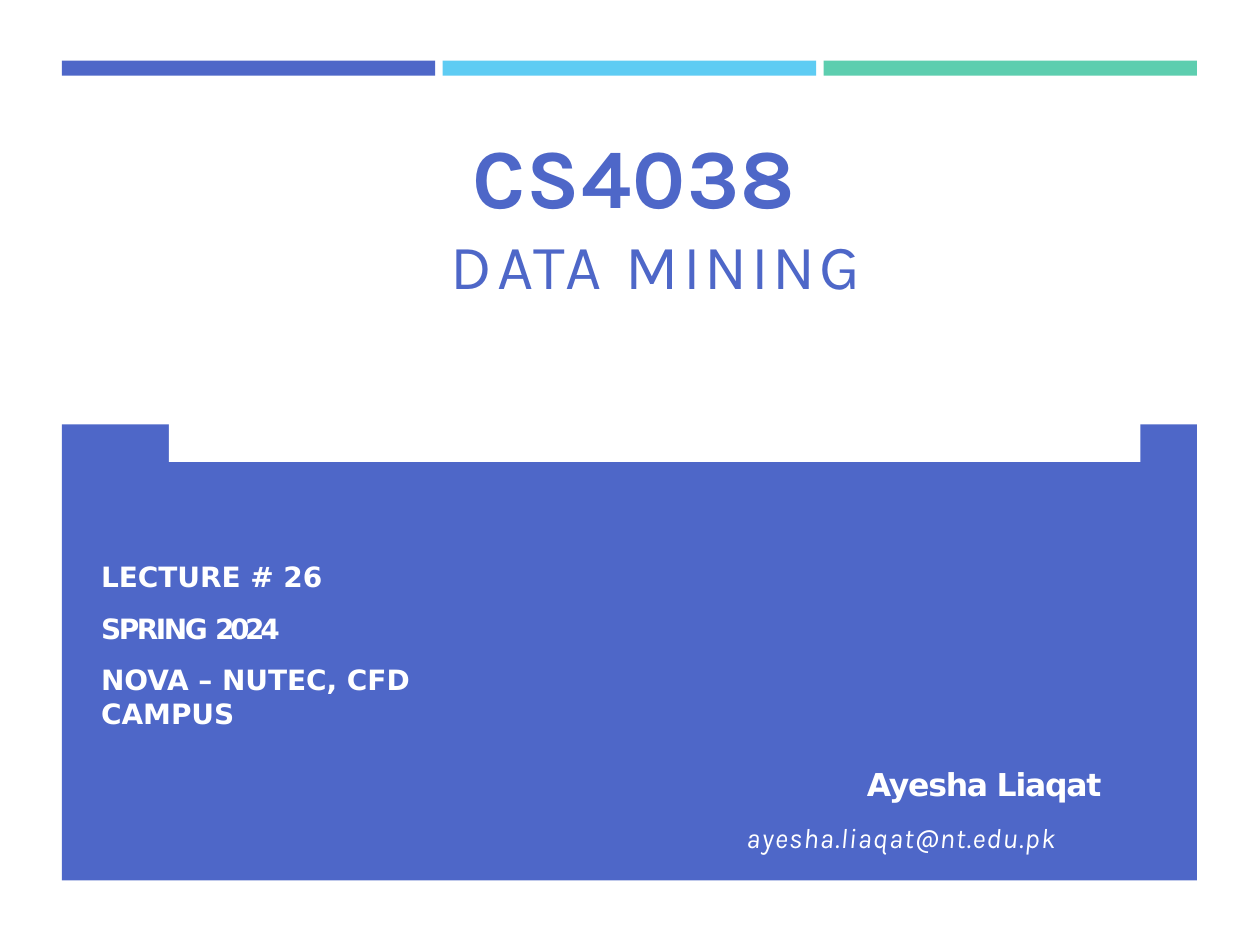
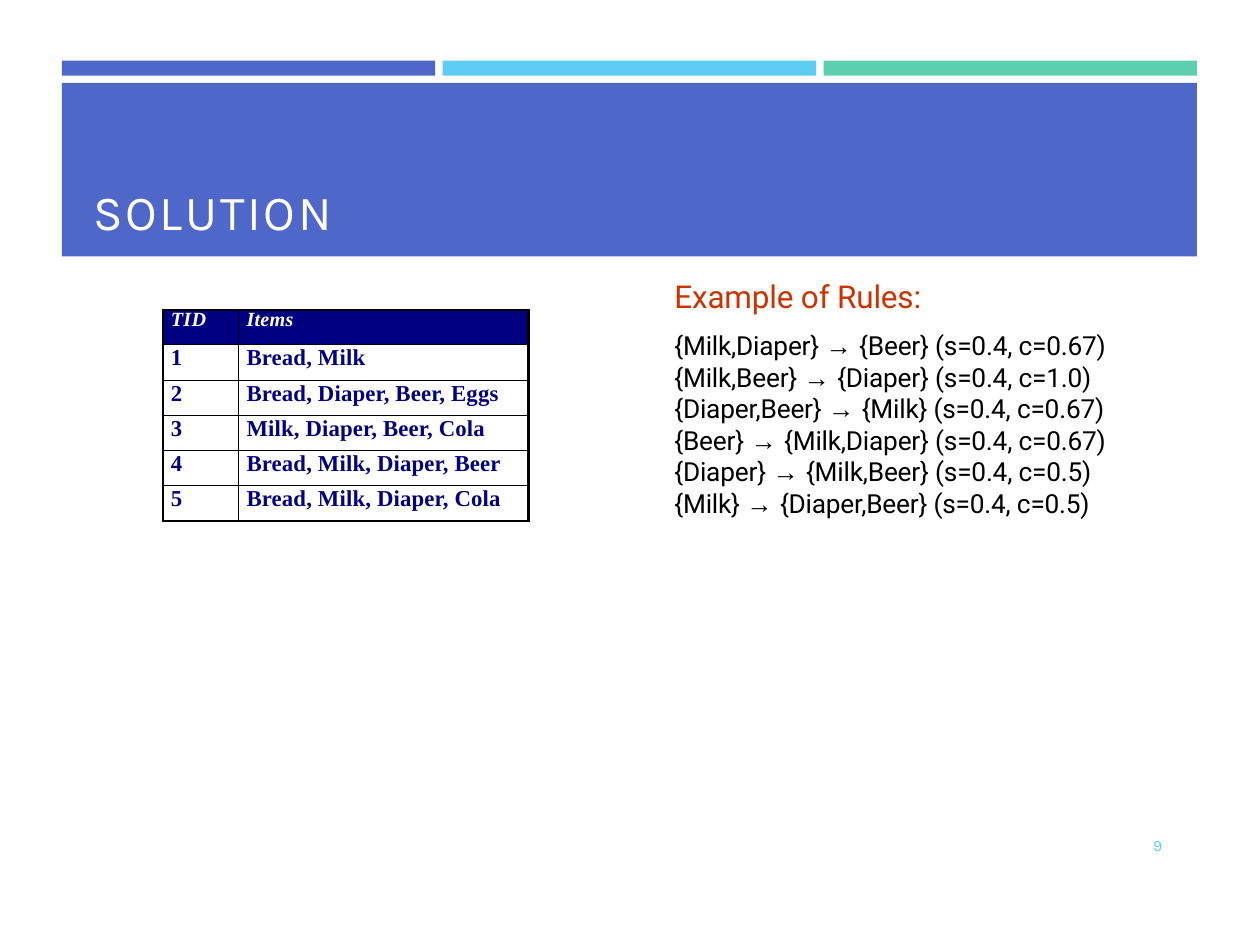
from lxml.etree import SubElement
from pptx import Presentation
from pptx.dml.color import RGBColor
from pptx.enum.shapes import MSO_SHAPE
from pptx.enum.text import MSO_ANCHOR, PP_ALIGN
from pptx.oxml.ns import qn
from pptx.util import Pt

BLUE, SKY, GREEN = "4E67C8", "5ECCF3", "5DCEAF"
WHITE, BLACK, NAVY, RED = "FFFFFF", "000000", "000080", "CC3300"

FRAME_LEFT, FRAME_WIDTH = 35.3, 648.7
BAND_TOP, BAND_HEIGHT, BAND_GAP = 34.6, 8.6, 4.3
BAND_COLOURS = [BLUE, SKY, GREEN]

COVER_BLOCK = (FRAME_LEFT, 242.6, FRAME_WIDTH, 260.5)
COVER_NOTCH = (96.5, 127.4, 555.2, 136.6)
TITLE_BLOCK = (FRAME_LEFT, 47.4, FRAME_WIDTH, 99.1)

CODE = dict(name="Karla", size=48, bold=True, colour=BLUE, spacing=0.8)
COURSE = dict(name="Karla", size=36, colour=BLUE)
DETAIL = dict(name="DejaVu Sans", size=16, bold=True, colour=WHITE)
TEACHER = DETAIL | dict(size=18, spacing=-0.7)
EMAIL = dict(name="Karla", size=16, italic=True, colour=WHITE, spacing=0.7)
TITLE = dict(name="Karla", size=28, colour=WHITE, spacing=1.6)
PAGE = dict(name="Karla", size=9, colour=SKY, spacing=-0.2)
RULES_HEADING = dict(name="Roboto", size=18, colour=RED, spacing=-0.1)
RULE = dict(name="Roboto", size=15, colour=BLACK, spacing=-0.1)
ARROW = RULE | dict(name="Arial", spacing=0)
HEADER_CELL = dict(name="Times New Roman", size=11.5, bold=True, italic=True,
                   colour=WHITE, spacing=0.15)
BODY_CELL = dict(name="Times New Roman", size=13, bold=True, colour=NAVY, spacing=0.1)

COURSE_CODE = "CS4038"
COURSE_NAME = [("D", 2.9), ("A", -0.9), ("T", -2.8), ("A ", 2.8),
               ("M", 2.5), ("ININ", 2), ("G", 2.3)]
LECTURE = [
    ({}, [("LECTURE # 26", DETAIL)]),
    ({"space_before": Pt(10.8)}, [("SPRING ", DETAIL | dict(spacing=-1.4)),
                                  ("2024", DETAIL | dict(spacing=-2.5))]),
    ({"space_before": Pt(9.8)}, [("NOVA – NUTEC, CFD CAMPUS", DETAIL)]),
]
CONTACT = [
    ({"alignment": PP_ALIGN.CENTER, "indent": 35.3}, [("Ayesha Liaqat", TEACHER)]),
    ({"space_before": Pt(10.4)}, [("ayesha.liaqat@nt.edu.pk", EMAIL)]),
]
SOLUTION_TITLE = "SOLUTION"
PAGE_NUMBER = "9"
RULES_TITLE = "Example of Rules:"
RULES = [
    ("{Milk,Diaper}", "{Beer}", "0.4", "0.67"),
    ("{Milk,Beer}", "{Diaper}", "0.4", "1.0"),
    ("{Diaper,Beer}", "{Milk}", "0.4", "0.67"),
    ("{Beer}", "{Milk,Diaper}", "0.4", "0.67"),
    ("{Diaper}", "{Milk,Beer}", "0.4", "0.5"),
    ("{Milk}", "{Diaper,Beer}", "0.4", "0.5"),
]
TRANSACTIONS = [
    ("TID", "Items"),
    ("1", "Bread, Milk"),
    ("2", "Bread, Diaper, Beer, Eggs"),
    ("3", "Milk, Diaper, Beer, Cola"),
    ("4", "Bread, Milk, Diaper, Beer"),
    ("5", "Bread, Milk, Diaper, Cola"),
]
TABLE_LEFT, TABLE_TOP, ROW_HEIGHT = 93.2, 177, 20.1
COLUMN_WIDTHS = [43.2, 165.6]
OUTER_LINE, INNER_LINE = 1.5, 0.75


def rgb(colour):
    return RGBColor.from_string(colour)


def add_block(slide, box, colour):
    block = slide.shapes.add_shape(MSO_SHAPE.RECTANGLE, *map(Pt, box))
    block.shadow.inherit = False
    block.fill.solid()
    block.fill.fore_color.rgb = rgb(colour)
    block.line.fill.background()
    return block


def write_run(paragraph, words, style):
    run = paragraph.add_run()
    run.text = words
    values = dict(style)
    run.font.color.rgb = rgb(values.pop("colour"))
    spacing = values.pop("spacing", 0)
    run._r.get_or_add_rPr().set("spc", str(round(spacing * 100)))
    values["size"] = Pt(values["size"])
    for key, value in values.items():
        setattr(run.font, key, value)


def write_text(frame, paragraphs, left=0.9, top=0.7):
    margins = dict(margin_left=left, margin_top=top, margin_right=0, margin_bottom=0)
    for key, value in margins.items():
        setattr(frame, key, Pt(value))
    frame.word_wrap = True
    frame.vertical_anchor = MSO_ANCHOR.TOP
    for number, (layout, runs) in enumerate(paragraphs):
        paragraph = frame.add_paragraph() if number else frame.paragraphs[0]
        values = {"alignment": PP_ALIGN.LEFT} | layout
        indent = values.pop("indent", 0)
        if indent:
            paragraph._p.get_or_add_pPr().set("marL", str(Pt(indent)))
        for key, value in values.items():
            setattr(paragraph, key, value)
        for words, style in runs:
            write_run(paragraph, words, style)


def add_text(slide, box, paragraphs, **margins):
    frame = slide.shapes.add_textbox(*map(Pt, box)).text_frame
    write_text(frame, paragraphs, **margins)


def add_slide(deck):
    slide = deck.slides.add_slide(deck.slide_layouts[6])
    count = len(BAND_COLOURS)
    width = (FRAME_WIDTH - (count - 1) * BAND_GAP) / count
    for number, colour in enumerate(BAND_COLOURS):
        left = FRAME_LEFT + number * (width + BAND_GAP)
        add_block(slide, (left, BAND_TOP, width, BAND_HEIGHT), colour)
    return slide


def set_borders(cell, widths):
    properties = cell._tc.get_or_add_tcPr()
    for position, (side, width) in enumerate(widths.items()):
        line = SubElement(properties, qn(f"a:ln{side}"), w=str(Pt(width)))
        fill = SubElement(line, qn("a:solidFill"))
        SubElement(fill, qn("a:srgbClr"), val=BLACK)
        properties.insert(position, line)


def add_transactions(slide):
    rows, columns = len(TRANSACTIONS), len(COLUMN_WIDTHS)
    box = (TABLE_LEFT, TABLE_TOP, sum(COLUMN_WIDTHS), rows * ROW_HEIGHT)
    table = slide.shapes.add_table(rows, columns, *map(Pt, box)).table
    for column, width in zip(table.columns, COLUMN_WIDTHS):
        column.width = Pt(width)
    for r, transaction in enumerate(TRANSACTIONS):
        table.rows[r].height = Pt(ROW_HEIGHT)
        for c, words in enumerate(transaction):
            cell = table.cell(r, c)
            for side, value in dict(left=4.5, top=0, right=0, bottom=0).items():
                setattr(cell, f"margin_{side}", Pt(value))
            if r == 0:
                cell.fill.solid()
                cell.fill.fore_color.rgb = rgb(NAVY)
            else:
                cell.fill.background()
            paragraph = cell.text_frame.paragraphs[0]
            paragraph.line_spacing = Pt(14.8 if r else 12.3)
            write_run(paragraph, words, BODY_CELL if r else HEADER_CELL)
            edges = {"L": c == 0, "R": c == columns - 1, "T": r == 0, "B": r == rows - 1}
            set_borders(cell, {side: OUTER_LINE if outer else INNER_LINE
                               for side, outer in edges.items()})


def build_cover(deck):
    slide = add_slide(deck)
    add_block(slide, COVER_BLOCK, BLUE)
    add_block(slide, COVER_NOTCH, WHITE)
    add_text(slide, (269, 70.6, 298, 59.8), [({}, [(COURSE_CODE, CODE)])])
    course = [(letters, COURSE | dict(spacing=spacing)) for letters, spacing in COURSE_NAME]
    add_text(slide, (105.1, 128.2, 537.8, 41.8),
             [({"alignment": PP_ALIGN.CENTER, "line_spacing": 1.01}, course)])
    add_text(slide, (56.9, 308.9, 239, 90), LECTURE, top=10.8)
    add_text(slide, (425.5, 424.1, 237.6, 64.1), CONTACT, top=13)


def build_solution(deck):
    slide = add_slide(deck)
    title = add_block(slide, TITLE_BLOCK, BLUE)
    write_text(title.text_frame, [({}, [(SOLUTION_TITLE, TITLE)])], left=18, top=56.5)
    add_text(slide, (655.9, 477.4, 15.1, 12.2), [({}, [(PAGE_NUMBER, PAGE)])], left=3, top=0)
    paragraphs = [({}, [(RULES_TITLE, RULES_HEADING)])]
    for number, (given, implied, support, confidence) in enumerate(RULES):
        layout = {"space_before": Pt(0 if number else 8.3)}
        paragraphs.append((layout, [
            (f"{given} ", RULE),
            ("→ ", ARROW),
            (f"{implied} (s={support}, c={confidence})", RULE),
        ]))
    add_text(slide, (384.5, 147.6, 257, 149.8), paragraphs, top=10.8)
    add_transactions(slide)


def main():
    deck = Presentation()
    deck.slide_width, deck.slide_height = Pt(720), Pt(540)
    build_cover(deck)
    build_solution(deck)
    deck.save("out.pptx")


if __name__ == "__main__":
    main()
